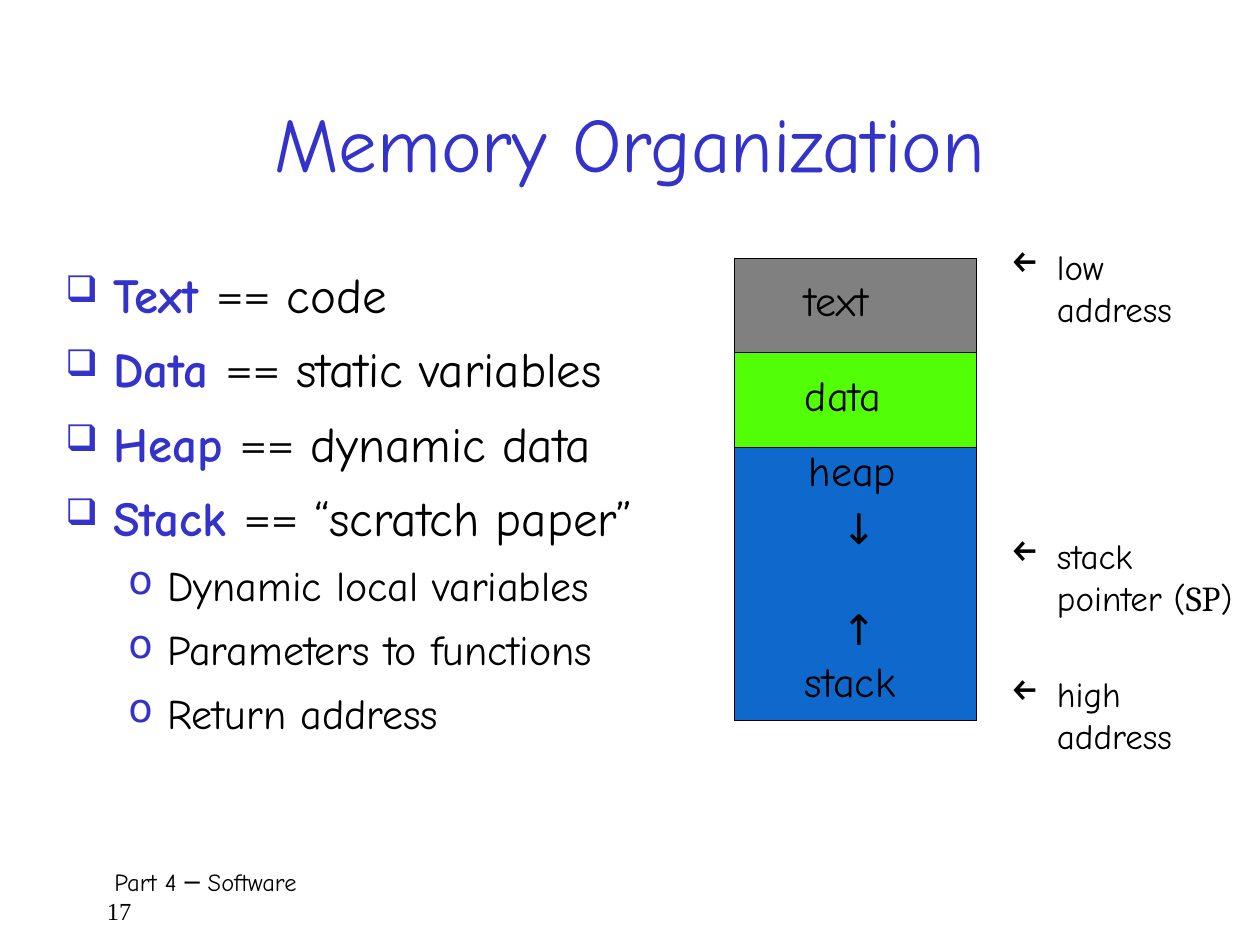
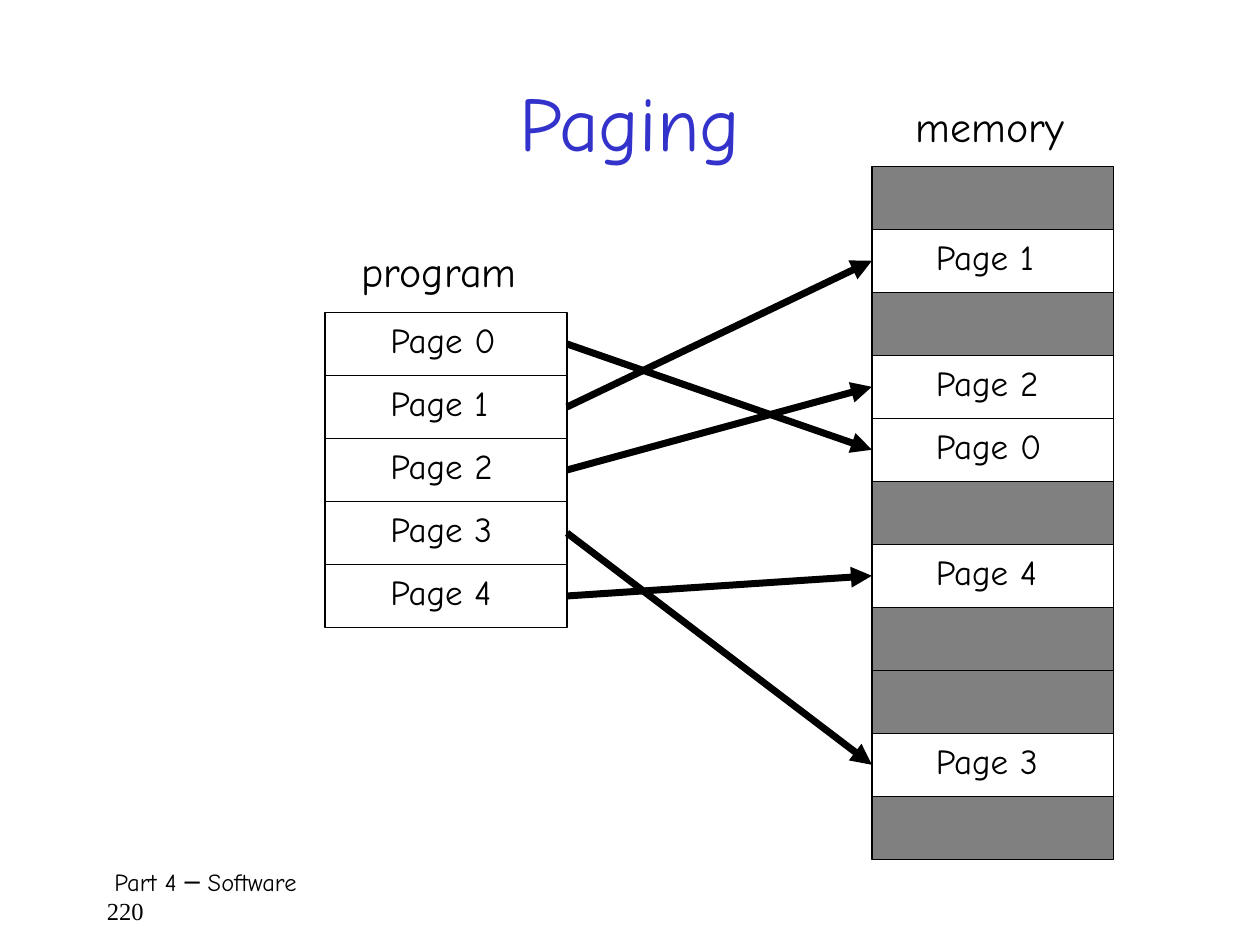
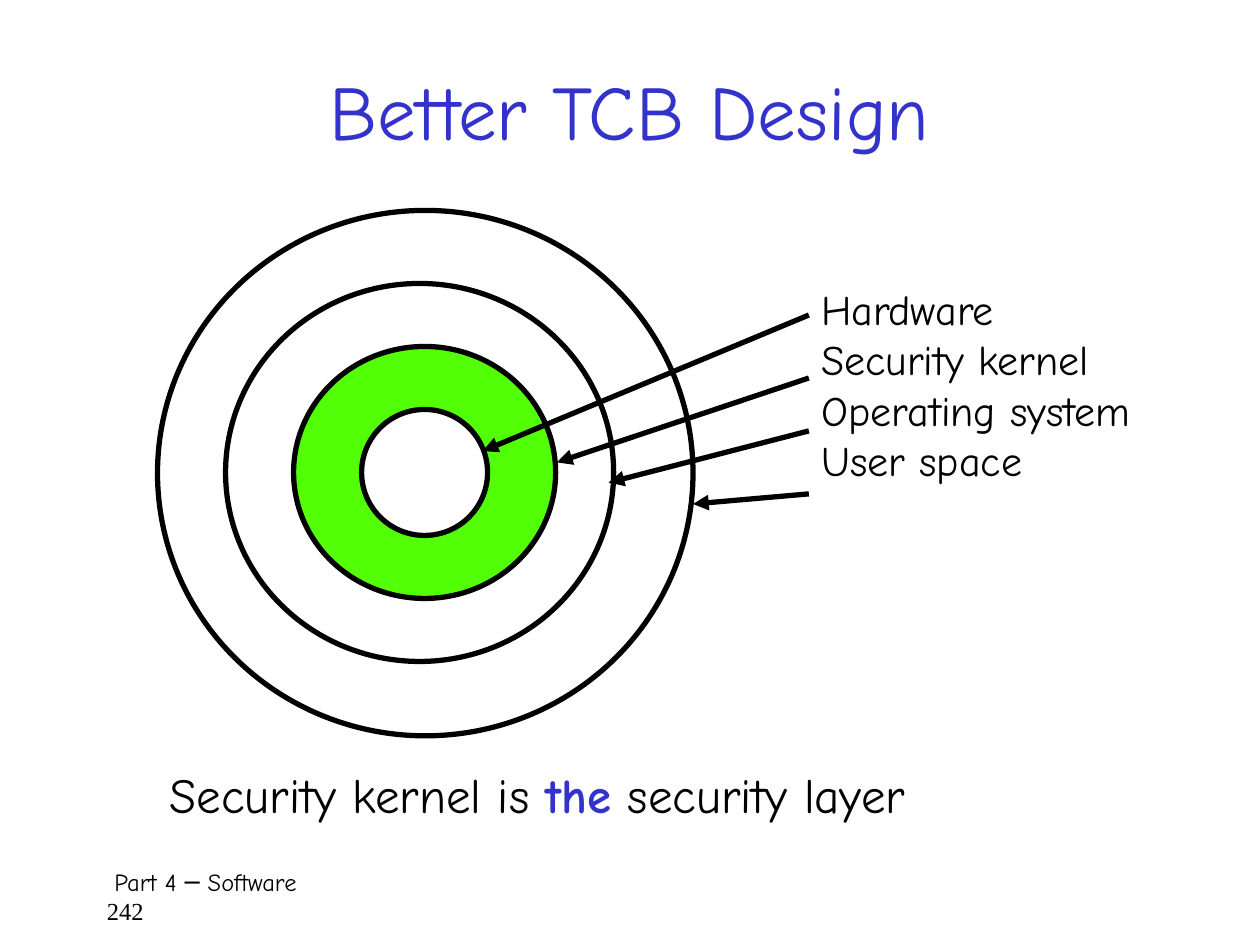
from lxml.etree import SubElement
from pptx import Presentation
from pptx.dml.color import RGBColor
from pptx.enum.shapes import MSO_CONNECTOR, MSO_SHAPE
from pptx.enum.text import MSO_ANCHOR, MSO_AUTO_SIZE, PP_ALIGN
from pptx.oxml.ns import qn
from pptx.util import Inches, Pt


class Theme:
    blue, black, white = "3333CC", "000000", "FFFFFF"
    grey, green, sea = "808080", "53FF07", "0F69CC"
    font, code_font, number_font = "Comic Neue", "Cambria", "Times New Roman"
    title, large, medium, small, footer = 44, 28, 24, 20, 14
    thin, ring, arrow = 0.75, 3, 4


STRONG = {"bold": True, "color": Theme.blue}
CODE = {"name": Theme.code_font}
FOOTER = "Part 4 ─ Software"

# Memory Organization
DEFINITIONS = [
    ("Text", " code"),
    ("Data", " static variables"),
    ("Heap", " dynamic data"),
    ("Stack", " “scratch paper”"),
]
STACK_CONTENTS = ["Dynamic local variables", "Parameters to functions", "Return address"]
SEGMENTS = [(0.75, Theme.grey), (0.75, Theme.green), (2.17, Theme.sea)]
SEGMENT_LABELS = [
    ("text", 6.29, 2.13, 0.89),
    ("data", 6.29, 2.88, 0.9),
    ("heap", 6.32, 3.48, 0.93),
    ("stack", 6.29, 5.15, 1.04),
]
ADDRESS_NOTES = [
    (1.9, 1.56, "low", ["address"]),
    (4.19, 2.11, "stack", ["pointer (", ("SP", CODE), ")"]),
    (5.29, 1.56, "high", ["address"]),
]

# Paging
PROGRAM_PAGES = [0, 1, 2, 3, 4]
MEMORY_FRAMES = [None, 1, None, 2, 0, None, 4, None, None, 3, None]
PAGE_W, PAGE_H = 1.92, 0.5
PROGRAM_LEFT, PROGRAM_TOP = 2.58, 2.48
MEMORY_LEFT, MEMORY_TOP = 6.92, 1.32

# Better TCB Design, rings from the outside in
RINGS = [
    (1.25, 1.67, 4.25, 4.17, None),
    (1.79, 2.25, 3.08, 3, None),
    (2.33, 2.75, 2.08, 2, Theme.green),
    (2.87, 3.25, 1, 1, Theme.white),
]
LAYERS = [
    ("Hardware", 2.5, (3.83, 3.58)),
    ("Security kernel", 3, (4.42, 3.67)),
    ("Operating system", 3.42, (4.83, 3.83)),
    ("User space", 3.92, (5.5, 4)),
]
LAYER_LEFT = 6.42


def rgb(value):
    return RGBColor.from_string(value)


def write(p, runs, size, **paragraph_format):
    """Fill a paragraph with runs, each a string or a (string, font format) pair."""
    for name, value in paragraph_format.items():
        setattr(p, name, value)
    for run in runs:
        text, changes = (run, {}) if isinstance(run, str) else run
        font = {"name": Theme.font, "size": Pt(size), "bold": False, **changes}
        color = font.pop("color", Theme.black)
        r = p.add_run()
        r.text = text
        for name, value in font.items():
            setattr(r.font, name, value)
        r.font.color.rgb = rgb(color)


def indent(p, left, bullet=None, color=None, percent=100):
    """Indent a paragraph and hang its bullet, if any, in the indent."""
    pPr = p._p.get_or_add_pPr()
    pPr.set("marL", str(Inches(left)))
    pPr.set("indent", "0")
    if bullet:
        hang = 0.31 if p.level else left
        pPr.set("indent", str(-Inches(hang)))
        if color:
            SubElement(SubElement(pPr, qn("a:buClr")), qn("a:srgbClr"), val=color)
        SubElement(pPr, qn("a:buSzPct"), val=str(percent * 1000))
        SubElement(pPr, qn("a:buChar"), char=bullet)


def text_frame(s, left, top, width, height):
    tf = s.shapes.add_textbox(*map(Inches, (left, top, width, height))).text_frame
    tf.word_wrap = True
    return tf


def paragraphs(tf, count):
    return [tf.paragraphs[0]] + [tf.add_paragraph() for _ in range(count - 1)]


def label(s, text, left, top, width, size=Theme.medium):
    tf = text_frame(s, left, top, width, 0.57 if size == Theme.medium else 0.49)
    write(tf.paragraphs[0], [text], size)


def shape(s, kind, left, top, width, height, fill=None, line=Theme.thin):
    sp = s.shapes.add_shape(kind, *map(Inches, (left, top, width, height)))
    sp.shadow.inherit = False
    if fill:
        sp.fill.solid()
        sp.fill.fore_color.rgb = rgb(fill)
    else:
        sp.fill.background()
    sp.line.color.rgb = rgb(Theme.black)
    sp.line.width = Pt(line)


def arrow(s, start, end, width):
    line = s.shapes.add_connector(MSO_CONNECTOR.STRAIGHT, *map(Inches, start + end))
    line.line.color.rgb = rgb(Theme.black)
    line.line.width = Pt(width)
    SubElement(line.line._get_or_add_ln(), qn("a:tailEnd"), type="triangle")
    SubElement(line._element.spPr, qn("a:effectLst"))


def new_slide(prs, title, number, top=0.33, height=1.25):
    s = prs.slides.add_slide(prs.slide_layouts[5])
    sp = s.shapes.title
    place = {"left": 0.75, "top": top, "width": 8.5, "height": height}
    for name, value in place.items():
        setattr(sp, name, Inches(value))
    tf = sp.text_frame
    tf.auto_size = MSO_AUTO_SIZE.NONE
    tf.vertical_anchor = MSO_ANCHOR.MIDDLE
    write(tf.paragraphs[0], [(title, {"color": Theme.blue})], Theme.title,
          alignment=PP_ALIGN.CENTER)

    name, page = paragraphs(text_frame(s, 0.75, 6.83, 8.58, 0.5), 2)
    write(name, [FOOTER], Theme.footer)
    indent(name, 0.06)
    write(page, [(str(number), {"name": Theme.number_font})], Theme.footer)
    return s


def memory_slide(prs):
    s = new_slide(prs, "Memory Organization", 17, top=0.5)
    items = [[(term + " ", STRONG), ("==", CODE), meaning] for term, meaning in DEFINITIONS]
    items += [[text] for text in STACK_CONTENTS]
    tf = text_frame(s, 0.42, 2, 5.25, 4.67)
    for i, (p, runs) in enumerate(zip(paragraphs(tf, len(items)), items)):
        level = int(i >= len(DEFINITIONS))
        size = (Theme.large, Theme.medium)[level]
        write(p, runs, size, level=level, line_spacing=1.1, space_before=Pt(size * 0.2))
        left, bullet, percent = ((0.38, "❑", 75), (0.81, "o", 95))[level]
        indent(p, left, bullet, Theme.blue, percent)

    top = 2.05
    for height, fill in SEGMENTS:
        shape(s, MSO_SHAPE.RECTANGLE, 5.83, top, 1.92, height, fill)
        top += height
    for segment in SEGMENT_LABELS:
        label(s, *segment)
    down, up = paragraphs(text_frame(s, 6.58, 3.94, 0.4, 1.36), 2)
    write(down, ["↓"], Theme.medium)
    write(up, ["↑"], Theme.medium, space_before=Pt(Theme.medium * 1.2))

    for top, width, first, rest in ADDRESS_NOTES:
        head, tail = paragraphs(text_frame(s, 7.92, top, width, 0.88), 2)
        write(head, [first], Theme.small)
        indent(head, 0.37, "←")
        write(tail, rest, Theme.small)
        indent(tail, 0.37)


def page_column(s, name, name_place, pages, left, top, label_left):
    label(s, name, *name_place)
    for i, page in enumerate(pages):
        y = top + i * PAGE_H
        free = page is None
        shape(s, MSO_SHAPE.RECTANGLE, left, y, PAGE_W, PAGE_H, Theme.grey if free else None)
        if not free:
            label(s, f"Page {page}", label_left, y, 1.1, Theme.small)


def paging_slide(prs):
    s = new_slide(prs, "Paging", 220)
    page_column(s, "program", (2.77, 1.9, 1.48), PROGRAM_PAGES, PROGRAM_LEFT, PROGRAM_TOP, 3)
    page_column(s, "memory", (7.17, 0.75, 1.41), MEMORY_FRAMES, MEMORY_LEFT, MEMORY_TOP, 7.33)
    for row, page in enumerate(PROGRAM_PAGES):
        start_y = PROGRAM_TOP + (row + 0.5) * PAGE_H
        end_y = MEMORY_TOP + (MEMORY_FRAMES.index(page) + 0.5) * PAGE_H
        arrow(s, (PROGRAM_LEFT + PAGE_W, start_y), (MEMORY_LEFT, end_y), Theme.arrow)


def tcb_slide(prs):
    s = new_slide(prs, "Better TCB Design", 242, height=1.08)
    for ring in RINGS:
        shape(s, MSO_SHAPE.OVAL, *ring, line=Theme.ring)
    tf = text_frame(s, LAYER_LEFT, 2.2, 2.96, 1.96)
    for p, (name, start_y, tip) in zip(paragraphs(tf, len(LAYERS)), LAYERS):
        write(p, [name], Theme.medium)
        arrow(s, (LAYER_LEFT, start_y), tip, Theme.ring)
    tf = text_frame(s, 1.25, 6.02, 6.8, 0.64)
    write(tf.paragraphs[0], ["Security kernel is ", ("the", STRONG), " security layer"],
          Theme.large)


def main():
    prs = Presentation()
    prs.slide_width, prs.slide_height = Inches(10), Inches(7.5)
    memory_slide(prs)
    paging_slide(prs)
    tcb_slide(prs)
    prs.save("out.pptx")


if __name__ == "__main__":
    main()
